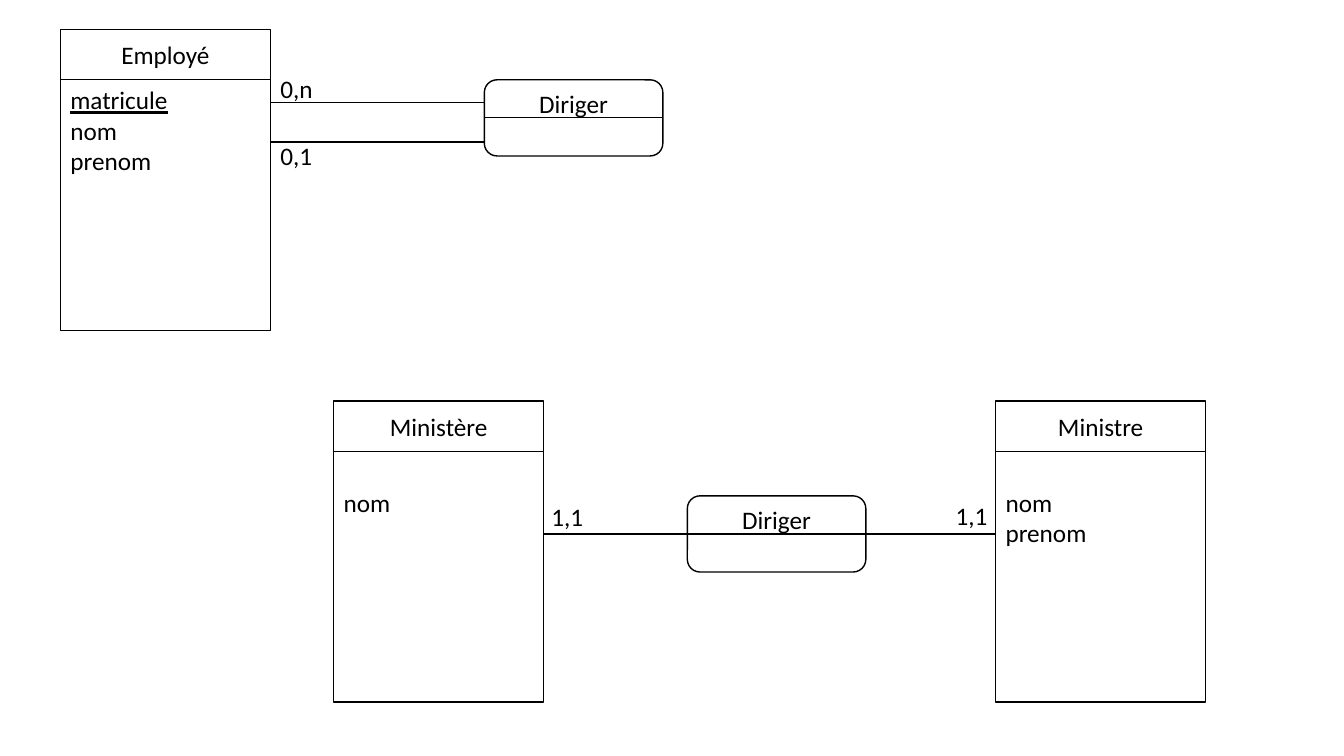
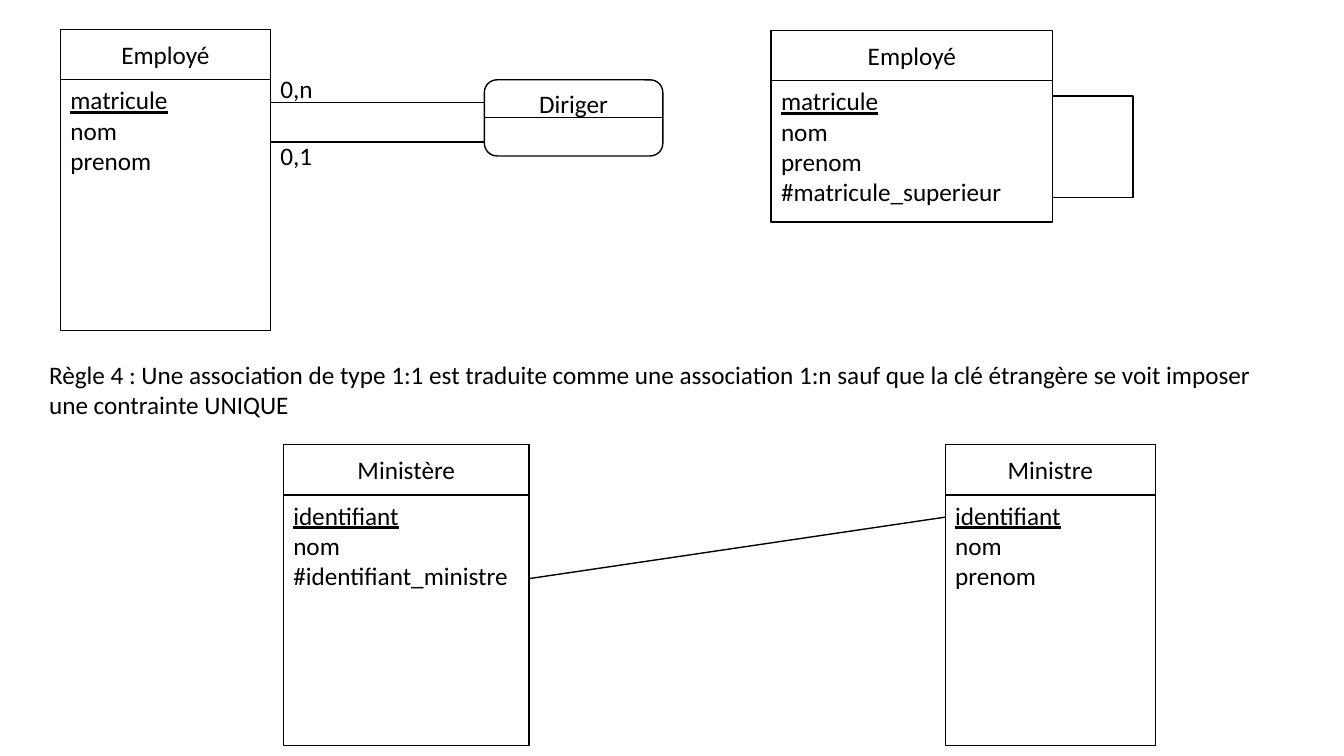
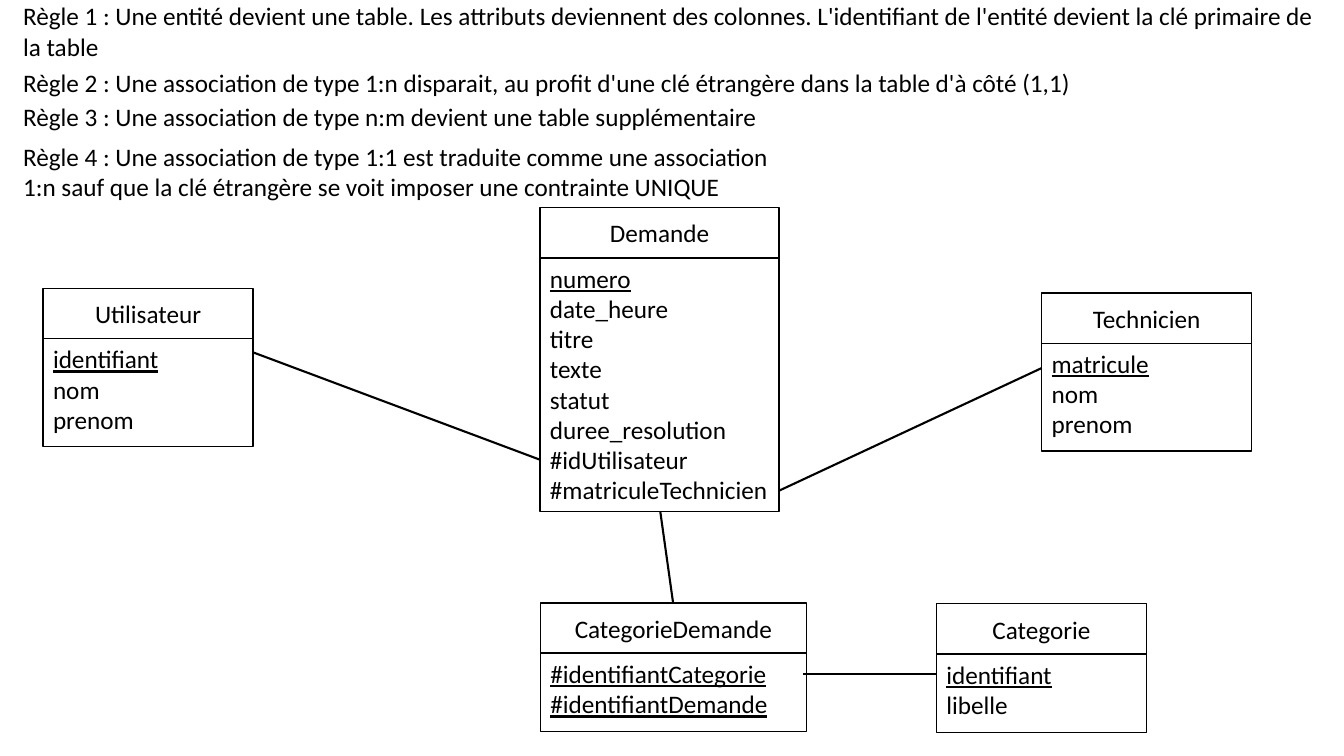
import pptx
import pptx.util
import pptx.dml.color
import pptx.enum.shapes
import pptx.enum.text
import pptx.oxml.ns
import lxml.etree

Pt = pptx.util.Pt
SHAPES = pptx.enum.shapes.MSO_SHAPE
ALIGN = pptx.enum.text.PP_ALIGN
ANCHOR = pptx.enum.text.MSO_ANCHOR

# Shared style
BLACK = pptx.dml.color.RGBColor(0x00, 0x00, 0x00)
WHITE = pptx.dml.color.RGBColor(0xFF, 0xFF, 0xFF)
FONT, FONT_SIZE = "Calibri", 18
HEAD_HEIGHT, INSET, LINE_HEIGHT = 36, 3.6, 22
ASSOCIATION_SIZE = (127.5, 54.4)
ENTITY_WIDTH = 150

# Content shared by several slides
RULE_4 = ("Règle 4 : Une association de type 1:1 est traduite comme une association 1:n "
          "sauf que la clé étrangère se voit imposer une contrainte UNIQUE")
PERSON = ["nom", "prenom"]

# Entity: name, left, top, width, body height, key attributes, other attributes, skipped lines
EMPLOYEE = ("Employé", 43.2, 20.9, ENTITY_WIDTH, 179, ["matricule"], PERSON, 0)
EMPLOYEE_ASSOCIATION = ("Diriger", 346, 57)
EMPLOYEE_LINKS = [(346, 84, 473.5, 84), (193.2, 73.2, 346, 73.2), (193.2, 101.5, 346, 101.5)]
EMPLOYEE_LABELS = [("0,n", 193.2, 48.5, 45, 29), ("0,1", 193.2, 96.8, 45, 29)]

SLIDES = [
    {
        "entities": [
            EMPLOYEE,
            ("Ministre", 711.2, 286.5, ENTITY_WIDTH, 179, [], PERSON, 1),
            ("Ministère", 238.4, 286.5, ENTITY_WIDTH, 179, [], ["nom"], 1),
        ],
        "associations": [EMPLOYEE_ASSOCIATION, ("Diriger", 491, 354.2)],
        "links": EMPLOYEE_LINKS + [(388.4, 381.4, 711.2, 381.4)],
        "labels": EMPLOYEE_LABELS + [("1,1", 386.8, 354.5, 38, 29), ("1,1", 675.5, 353.8, 45, 29)],
    },
    {
        "entities": [
            EMPLOYEE,
            ("Ministre", 675.2, 317.5, ENTITY_WIDTH, 179, ["identifiant"], PERSON, 0),
            ("Ministère", 202.4, 317.5, 175.6, 179, ["identifiant"],
             ["nom", "#identifiant_ministre"], 0),
            ("Employé", 550.8, 21.7, 201, 100.8, ["matricule"],
             PERSON + ["#matricule_superieur"], 0),
        ],
        "associations": [EMPLOYEE_ASSOCIATION],
        "loops": [(751.8, 68.5, 57.6, 72.7)],
        "links": EMPLOYEE_LINKS + [(378, 413.3, 675.2, 369.4)],
        "labels": EMPLOYEE_LABELS + [(RULE_4, 28, 252.9, 890.6, 51)],
    },
    {
        "entities": [
            ("Demande", 385.7, 148.3, 170.8, 181, ["numero"],
             ["date_heure", "titre", "texte", "statut", "duree_resolution",
              "#idUtilisateur", "#matriculeTechnicien"], 0),
            ("Utilisateur", 30.8, 206, ENTITY_WIDTH, 77, ["identifiant"], PERSON, 0),
            ("Technicien", 744.1, 209.2, ENTITY_WIDTH, 77, ["matricule"], PERSON, 0),
            ("Categorie", 668.9, 431.3, ENTITY_WIDTH, 56, ["identifiant"], ["libelle"], 0),
            ("CategorieDemande", 386, 430.6, 190, 56,
             ["#identifiantCategorie", "#identifiantDemande"], [], 0),
        ],
        "links": [(573.8, 481.5, 668.9, 481.5), (480.8, 430.6, 471.6, 365.2),
                  (180.8, 251.7, 386, 328.5), (556.7, 350.4, 744.1, 262.9)],
        "link_width": 1.5,
        "labels": [
            ("Règle 1 : Une entité devient une table. Les attributs deviennent des colonnes. "
             "L'identifiant de l'entité devient la clé primaire de la table",
             9.4, -3, 944, 51),
            ("Règle 2 : Une association de type 1:n disparait, au profit d'une clé étrangère "
             "dans la table d'à côté (1,1)", 9.4, 44.8, 944, 29),
            ("Règle 3 : Une association de type n:m devient une table supplémentaire",
             9.4, 68.6, 944, 29),
            (RULE_4, 9.4, 97.5, 555, 51),
        ],
    },
]


def write_lines(frame, lines, align=ALIGN.LEFT, anchor=ANCHOR.TOP, key_count=0):
    """Write one paragraph per line; the first key_count lines are underlined."""
    frame.word_wrap = True
    frame.vertical_anchor = anchor
    for index, line in enumerate(lines):
        para = frame.paragraphs[0] if index == 0 else frame.add_paragraph()
        para.alignment = align
        span = para.add_run()
        span.text = line
        span.font.name, span.font.size = FONT, Pt(FONT_SIZE)
        span.font.color.rgb = BLACK
        if index < key_count:
            span.font.underline = True


def add_box(page, kind, left, top, width, height):
    box = page.shapes.add_shape(kind, Pt(left), Pt(top), Pt(width), Pt(height))
    box.shadow.inherit = False
    box.fill.solid()
    box.fill.fore_color.rgb = WHITE
    box.line.color.rgb = BLACK
    box.line.width = Pt(1)
    return box


def add_entity(page, name, left, top, width, height, keys, others, skipped):
    body = add_box(page, SHAPES.RECTANGLE, left, top + HEAD_HEIGHT, width, height)
    body.text_frame.margin_top = Pt(INSET + skipped * LINE_HEIGHT)
    write_lines(body.text_frame, keys + others, key_count=len(keys))
    head = add_box(page, SHAPES.RECTANGLE, left, top, width, HEAD_HEIGHT)
    write_lines(head.text_frame, [name], ALIGN.CENTER, ANCHOR.MIDDLE)


def add_association(page, name, left, top):
    box = add_box(page, SHAPES.ROUNDED_RECTANGLE, left, top, *ASSOCIATION_SIZE)
    write_lines(box.text_frame, [name], ALIGN.CENTER)


def add_link(page, ends, width):
    link = page.shapes.add_connector(pptx.enum.shapes.MSO_CONNECTOR.STRAIGHT,
                                     *[Pt(value) for value in ends])
    link.line.color.rgb = BLACK
    link.line.width = Pt(width)
    lxml.etree.SubElement(link._element.spPr, pptx.oxml.ns.qn("a:effectLst"))


def add_label(page, text, left, top, width, height):
    label = page.shapes.add_textbox(Pt(left), Pt(top), Pt(width), Pt(height))
    write_lines(label.text_frame, [text])


def main():
    deck = pptx.Presentation()
    deck.slide_width, deck.slide_height = Pt(960), Pt(540)
    blank_layout = deck.slide_layouts[6]
    for content in SLIDES:
        page = deck.slides.add_slide(blank_layout)
        for entity in content["entities"]:
            add_entity(page, *entity)
        for association in content.get("associations", []):
            add_association(page, *association)
        for loop in content.get("loops", []):
            add_box(page, SHAPES.RECTANGLE, *loop)
        for ends in content["links"]:
            add_link(page, ends, content.get("link_width", 1))
        for label in content["labels"]:
            add_label(page, *label)
    deck.save("out.pptx")


if __name__ == "__main__":
    main()
